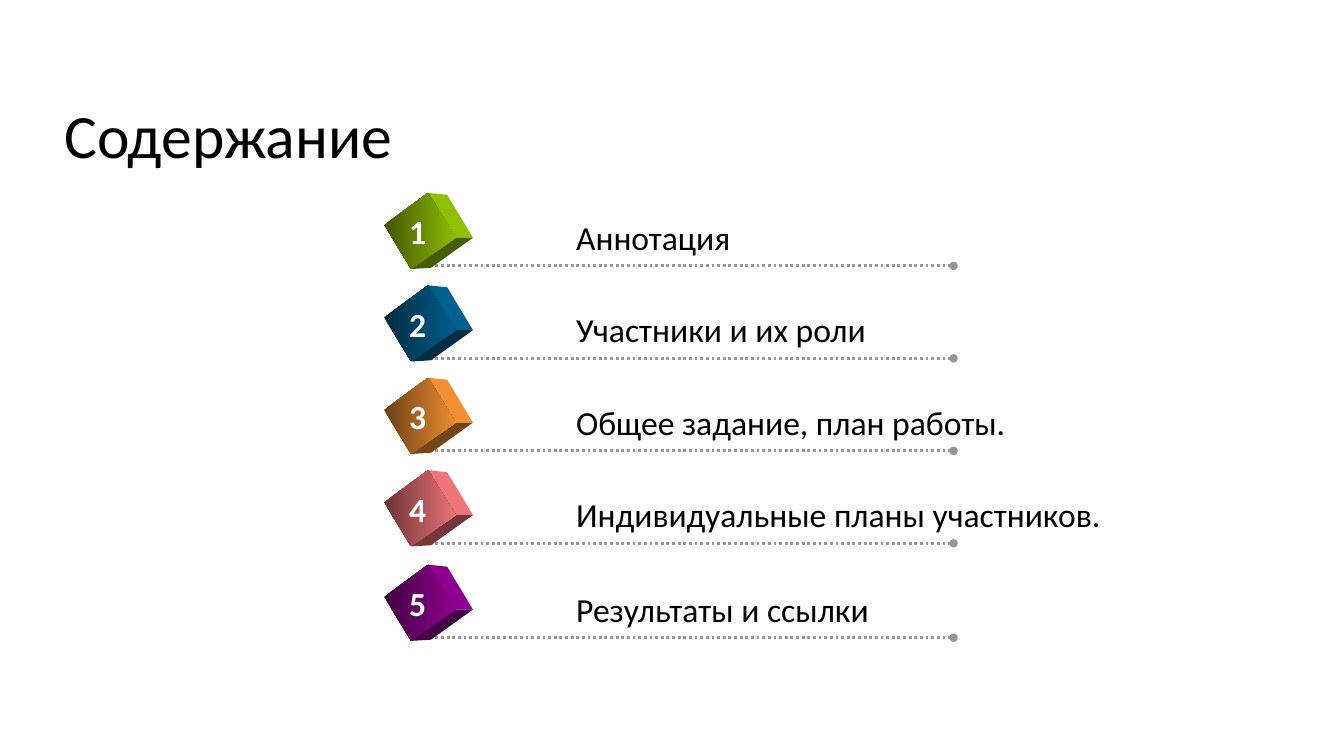
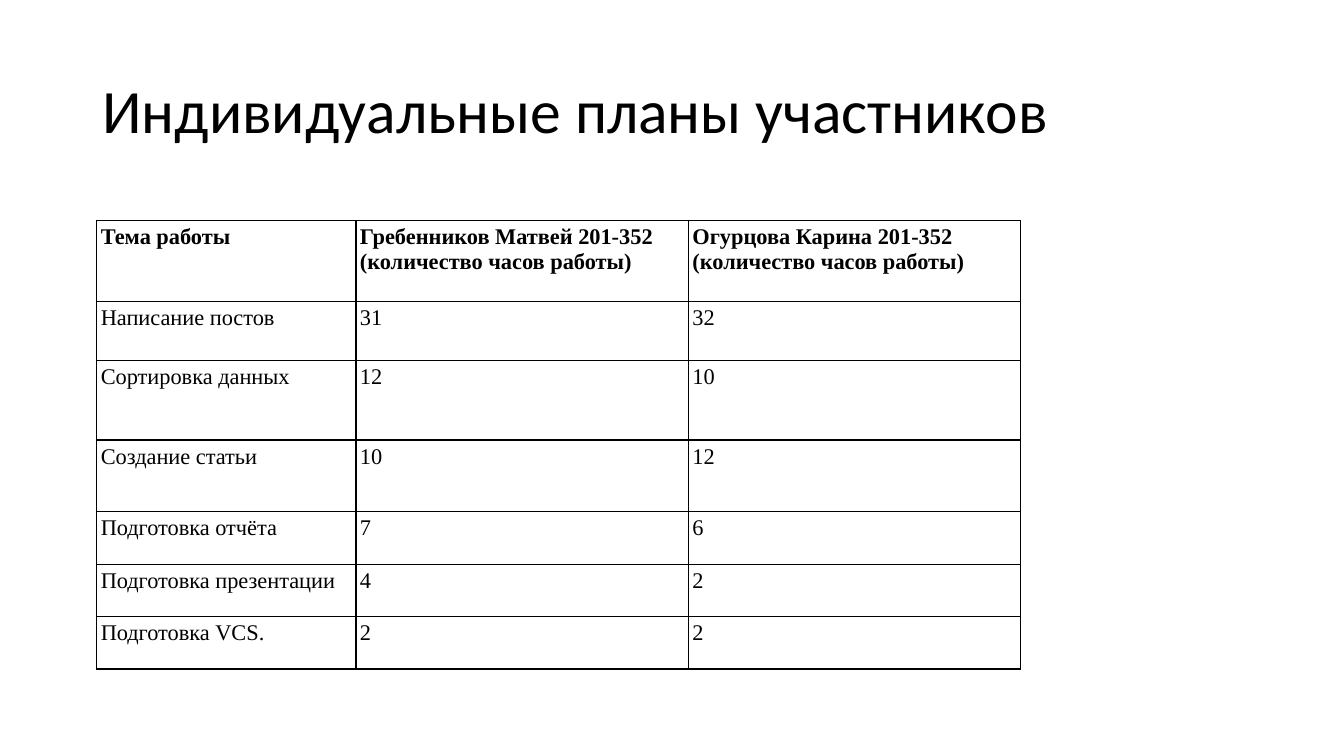
"""Build a contents slide and a slide with the table of individual work plans."""
import pptx
import pptx.dml.color
import pptx.enum.dml
import pptx.enum.shapes
import pptx.enum.text
import pptx.oxml
import pptx.oxml.ns
import pptx.util
from lxml import etree

Cm = pptx.util.Cm
Pt = pptx.util.Pt

BODY_FONT = "Calibri"
TABLE_FONT = "Times New Roman"
BLACK, WHITE, GREY = "000000", "FFFFFF", "969696"

CONTENTS = [
    ("Аннотация", "99CC00", 6.7),
    ("Участники и их роли", "006699", 9.03),
    ("Общее задание, план работы.", "FF9933", 11.36),
    ("Индивидуальные планы участников.", "FF7C80", 13.69),
    ("Результаты и ссылки", "990099", 16.07),
]
CUBE_LEFT, CUBE_RISE = 9.68, 1.84
FRONT_FACE = [(0, 0.81), (1.11, 0), (1.81, 1.13), (0.68, 1.92)]
SIDE_FACE = [(1.11, 0), (1.59, 0.05), (2.24, 1.13), (1.81, 1.13)]
BOTTOM_FACE = [(0.68, 1.92), (1.81, 1.13), (2.24, 1.13), (1.18, 1.89)]

HOURS = [
    ("Тема работы",
     "Гребенников Матвей 201-352\n(количество часов работы)",
     "Огурцова Карина 201-352\n(количество часов работы)"),
    ("Написание постов", "31", "32"),
    ("Сортировка данных", "12", "10"),
    ("Создание статьи", "10", "12"),
    ("Подготовка отчёта", "7", "6"),
    ("Подготовка презентации", "4", "2"),
    ("Подготовка VCS.", "2", "2"),
]
COLUMN_WIDTHS = [6.53, 8.38, 8.36]
ROW_HEIGHTS = [2.03, 1.5, 2, 1.81, 1.32, 1.32, 1.32]


def color(value):
    """Turn a hex string into a colour."""
    return pptx.dml.color.RGBColor.from_string(value)


def shade(value, factor):
    """Return the hex colour darkened by the factor."""
    channels = (int(value[i:i + 2], 16) for i in (0, 2, 4))
    return "".join(f"{round(channel * factor):02X}" for channel in channels)


def set_font(paragraph, name, size, value=BLACK, bold=False):
    """Set the font of a whole paragraph."""
    font = paragraph.font
    font.name, font.size, font.bold = name, Pt(size), bold
    font.color.rgb = color(value)


def add_text(shapes, text, left, top, width, height, size, value=BLACK, bold=False, wrap=False):
    """Add a one-paragraph text box and return it."""
    box = shapes.add_textbox(Cm(left), Cm(top), Cm(width), Cm(height))
    box.text_frame.word_wrap = wrap
    box.text_frame.text = text
    set_font(box.text_frame.paragraphs[0], BODY_FONT, size, value, bold)
    return box


def add_title(page, text, left, top, width, height):
    """Add a slide title in the shared style."""
    frame = add_text(page.shapes, text, left, top, width, height, 44, wrap=True).text_frame
    frame.vertical_anchor = pptx.enum.text.MSO_ANCHOR.MIDDLE
    frame.paragraphs[0].line_spacing = 0.9


def add_dotted_line(shapes, left, right, height):
    """Add a horizontal dotted line that ends in a dot."""
    connector = shapes.add_connector(
        pptx.enum.shapes.MSO_CONNECTOR.STRAIGHT, Cm(left), Cm(height), Cm(right), Cm(height))
    connector.line.color.rgb = color(GREY)
    connector.line.width = Pt(2)
    connector.line.dash_style = pptx.enum.dml.MSO_LINE.ROUND_DOT
    outline = connector.line._get_or_add_ln()
    etree.SubElement(outline, pptx.oxml.ns.qn("a:tailEnd"), type="oval")
    etree.SubElement(connector._element.spPr, pptx.oxml.ns.qn("a:effectLst"))


def add_face(shapes, corners, left, top, shades):
    """Add one cube face, plain for one shade or a gradient for two."""
    points = [(Cm(left + x), Cm(top + y)) for x, y in corners]
    builder = shapes.build_freeform(*points[0])
    builder.add_line_segments(points[1:], close=True)
    face = builder.convert_to_shape()
    face.shadow.inherit = False
    face.line.fill.background()
    if len(shades) == 1:
        face.fill.solid()
        face.fill.fore_color.rgb = color(shades[0])
        return
    face.fill.gradient()
    face.fill.gradient_angle = 0
    for stop, value in zip(face.fill.gradient_stops, shades):
        stop.color.rgb = color(value)


def add_cube(shapes, value, left, top):
    """Add a tilted cube made of its three visible faces."""
    add_face(shapes, SIDE_FACE, left, top, [shade(value, 0.94)])
    add_face(shapes, BOTTOM_FACE, left, top, [shade(value, 0.45)])
    add_face(shapes, FRONT_FACE, left, top, [shade(value, 0.42), shade(value, 0.92)])


def add_contents_row(page, number, text, value, baseline):
    """Add a numbered cube with its heading and dotted line as one group."""
    shapes = page.shapes.add_group_shape().shapes
    add_dotted_line(shapes, 10.69, 24.03, baseline)
    add_cube(shapes, value, CUBE_LEFT, baseline - CUBE_RISE)
    add_text(shapes, text, 14.27, baseline - 1.36, 13.87, 1.3, 24)
    add_text(shapes, str(number), 10.06, baseline - 1.5, 1, 1.27, 24, WHITE, True)


def add_borders(cell):
    """Draw a thin black border on all four sides of a cell."""
    properties = cell._tc.get_or_add_tcPr()
    for position, side in enumerate(("lnL", "lnR", "lnT", "lnB")):
        properties.insert(position, pptx.oxml.parse_xml(
            f'<a:{side} {pptx.oxml.ns.nsdecls("a")} w="{Pt(1)}">'
            f'<a:solidFill><a:srgbClr val="{BLACK}"/></a:solidFill></a:{side}>'))


def fill_cell(cell, text, heading):
    """Write the text of a table cell and style it."""
    cell.fill.background()
    cell.margin_left = cell.margin_right = Cm(0.1)
    cell.margin_top = cell.margin_bottom = Cm(0.1)
    cell.text_frame.text = text
    for paragraph in cell.text_frame.paragraphs:
        set_font(paragraph, TABLE_FONT, 16, bold=heading)
        paragraph.alignment = pptx.enum.text.PP_ALIGN.JUSTIFY
        paragraph.space_before = Pt(0 if heading else 12)
    add_borders(cell)


def add_hours_table(page, left, top):
    """Add the table of hours."""
    table = page.shapes.add_table(
        len(HOURS), len(COLUMN_WIDTHS), Cm(left), Cm(top),
        Cm(sum(COLUMN_WIDTHS)), Cm(sum(ROW_HEIGHTS))).table
    table.first_row = table.horz_banding = False
    for column, width in zip(table.columns, COLUMN_WIDTHS):
        column.width = Cm(width)
    for index, (row, height, texts) in enumerate(zip(table.rows, ROW_HEIGHTS, HOURS)):
        row.height = Cm(height)
        for cell, text in zip(row.cells, texts):
            fill_cell(cell, text, index == 0)


def main():
    """Build and save the deck."""
    deck = pptx.Presentation()
    deck.slide_width, deck.slide_height = Cm(33.87), Cm(19.05)
    blank = deck.slide_layouts[6]

    contents_page = deck.slides.add_slide(blank)
    add_title(contents_page, "Содержание", 1.37, 2.13, 29.21, 2.74)
    for number, entry in enumerate(CONTENTS, start=1):
        add_contents_row(contents_page, number, *entry)

    plans_page = deck.slides.add_slide(blank)
    add_title(plans_page, "Индивидуальные планы участников", 2.33, 1.01, 29.21, 3.68)
    add_hours_table(plans_page, 2.44, 5.56)

    deck.save("out.pptx")


if __name__ == "__main__":
    main()
